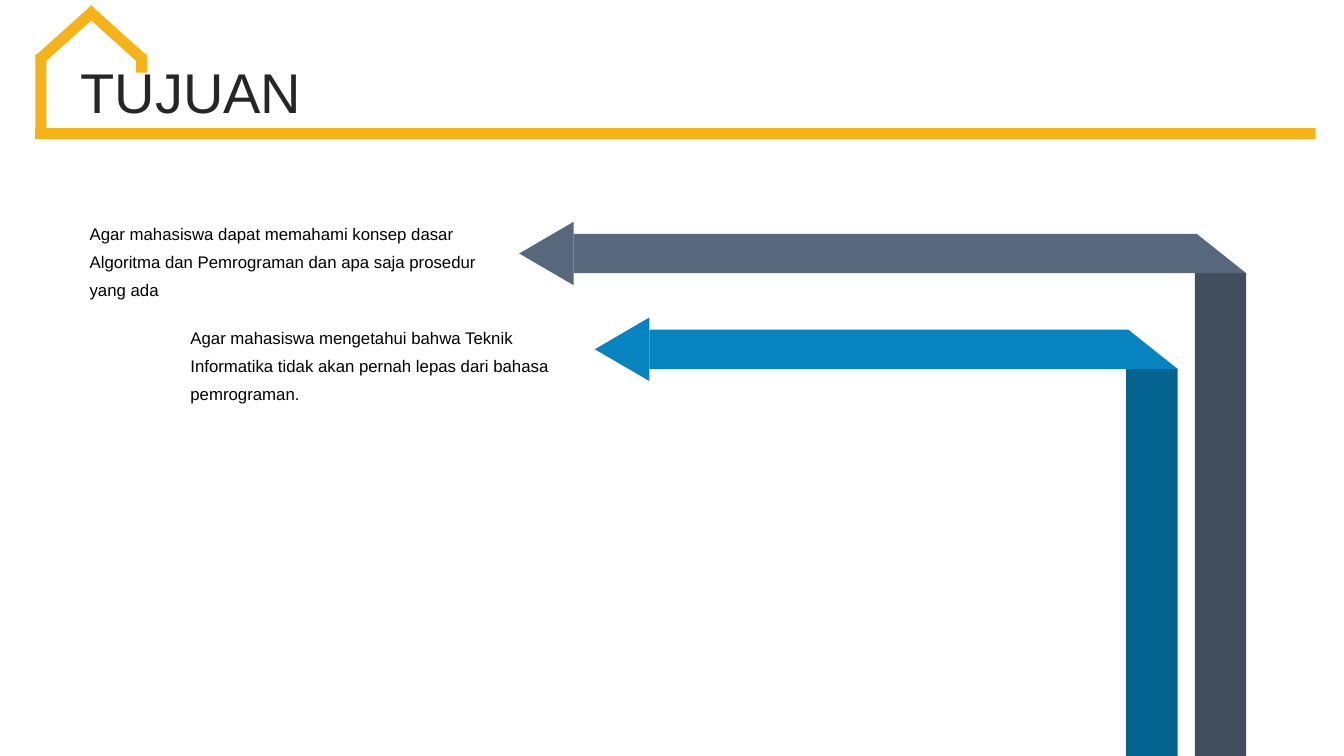
from pptx import Presentation
from pptx.dml.color import RGBColor
from pptx.enum.shapes import MSO_SHAPE as SHAPE
from pptx.enum.text import MSO_ANCHOR as ANCHOR, MSO_AUTO_SIZE as FIT, PP_ALIGN as ALIGN
from pptx.util import Inches, Pt

YELLOW = RGBColor(0xF5, 0xB3, 0x17)
SLATE, SLATE_DARK = RGBColor(0x57, 0x68, 0x7C), RGBColor(0x41, 0x4E, 0x5D)
BLUE, BLUE_DARK = RGBColor(0x06, 0x84, 0xBF), RGBColor(0x05, 0x63, 0x8F)
INK, BLACK = RGBColor(0x26, 0x26, 0x26), RGBColor(0, 0, 0)

WIDTH, HEIGHT = 13.33, 7.5
TITLE = "TUJUAN"
# text, text left, text top, band left, band top, band right, light colour, dark colour
GOALS = [
    ("Agar mahasiswa dapat memahami konsep dasar Algoritma dan Pemrograman "
     "dan apa saja prosedur yang ada",
     0.79, 2.09, 5.69, 2.32, 12.36, SLATE, SLATE_DARK),
    ("Agar mahasiswa mengetahui bahwa Teknik Informatika tidak akan pernah "
     "lepas dari bahasa pemrograman.",
     1.79, 3.12, 6.44, 3.27, 11.68, BLUE, BLUE_DARK),
]
TEXT_W, TEXT_H = 4.15, 0.95
BAND_H, POST_W, FOLD_W = 0.39, 0.51, 0.49
HEAD_SPAN, HEAD_LENGTH = 0.63, 0.54

STROKE = 0.11
HOUSE_LEFT, EAVES, BASE = 0.35, 0.54, 1.27
# left, top, width, height, rotation
HOUSE = [
    (HOUSE_LEFT, BASE, 12.7, STROKE, 0),
    (HOUSE_LEFT, EAVES, STROKE, 0.8, 0),
    (HOUSE_LEFT + 1, EAVES, STROKE, 0.18, 0),
    (0.61, -0.03, STROKE, 0.75, 48),
    (1.09, -0.03, STROKE, 0.75, -48),
]


def paint(sp, color):
    sp.shadow.inherit = False
    sp.fill.solid()
    sp.fill.fore_color.rgb = color
    sp.line.fill.background()


def add_solid(slide, kind, box, color, rotation=0):
    sp = slide.shapes.add_shape(kind, *map(Inches, box))
    sp.rotation = rotation
    paint(sp, color)


def write(sp, text, size, color, spacing, anchor=ANCHOR.TOP):
    tf = sp.text_frame
    tf.word_wrap = True
    tf.auto_size = FIT.NONE
    tf.vertical_anchor = anchor
    p = tf.paragraphs[0]
    p.alignment = ALIGN.LEFT
    p.line_spacing = spacing
    r = p.add_run()
    r.text = text
    r.font.name = "Arial"
    r.font.size = Pt(size)
    r.font.color.rgb = color


def add_band(slide, left, top, right, color):
    """Draw a horizontal band whose right end is cut as a fold."""
    bottom = top + BAND_H
    corners = [(left, top), (right - FOLD_W, top), (right, bottom), (left, bottom)]
    points = [(Inches(x), Inches(y)) for x, y in corners]
    outline = slide.shapes.build_freeform(*points[0])
    outline.add_line_segments(points[1:], close=True)
    paint(outline.convert_to_shape(), color)


def add_goal(slide, text, text_left, text_top, left, top, right, light, dark):
    post_top = top + BAND_H
    add_solid(slide, SHAPE.RECTANGLE,
              (right - POST_W, post_top, POST_W, HEIGHT - post_top), dark)
    add_band(slide, left, top, right, light)
    # The head is turned a quarter, so its box is centred on the drawn arrow head.
    center_x, center_y = left - HEAD_LENGTH / 2, top + BAND_H / 2
    add_solid(slide, SHAPE.ISOSCELES_TRIANGLE,
              (center_x - HEAD_SPAN / 2, center_y - HEAD_LENGTH / 2,
               HEAD_SPAN, HEAD_LENGTH), light, rotation=270)
    box = slide.shapes.add_textbox(*map(Inches, (text_left, text_top, TEXT_W, TEXT_H)))
    write(box, text, 12, BLACK, spacing=1.4)


def main():
    prs = Presentation()
    prs.slide_width, prs.slide_height = Inches(WIDTH), Inches(HEIGHT)
    slide = prs.slides.add_slide(prs.slide_layouts[5])
    for *box, rotation in HOUSE:
        add_solid(slide, SHAPE.RECTANGLE, box, YELLOW, rotation)
    title = slide.shapes.title
    title.left, title.top, title.width, title.height = map(
        Inches, (0.7, 0.55, 12.31, 0.79))
    write(title, TITLE, 40, INK, spacing=0.9, anchor=ANCHOR.MIDDLE)
    for goal in GOALS:
        add_goal(slide, *goal)
    prs.save("out.pptx")


if __name__ == "__main__":
    main()
